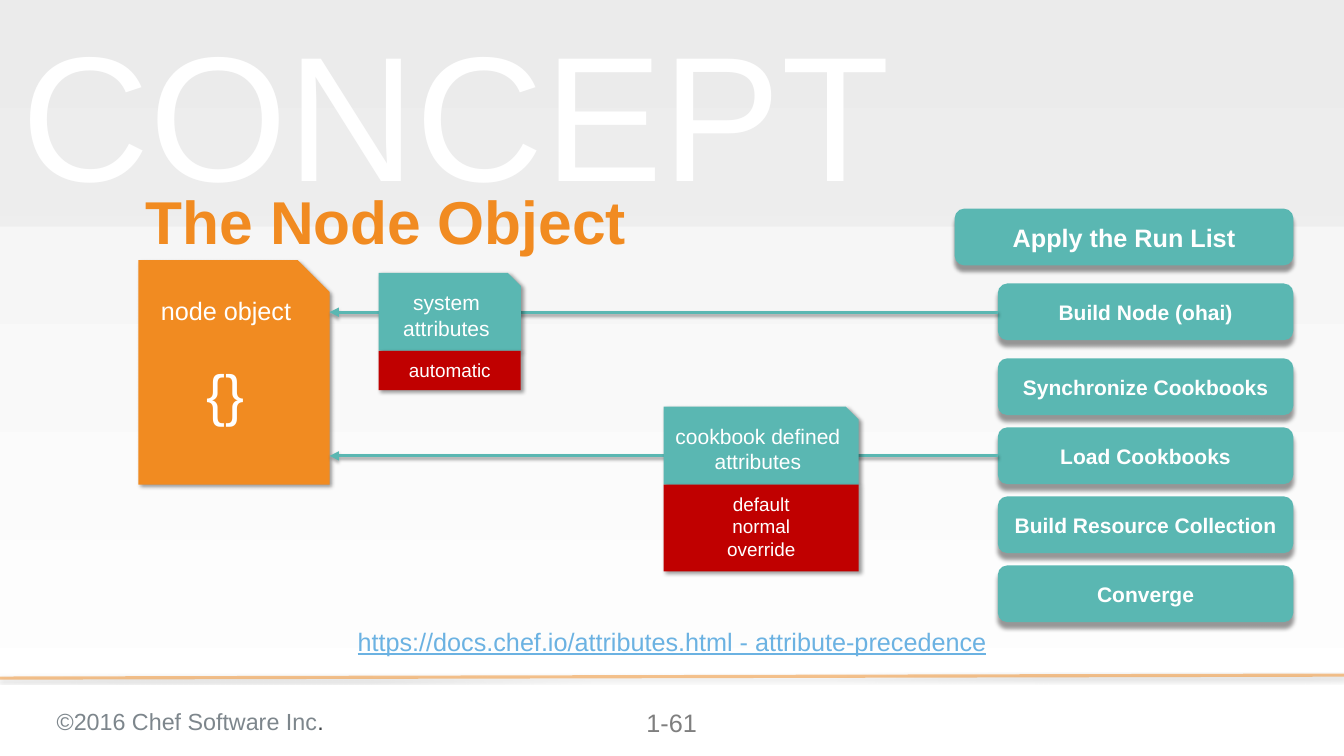
from dataclasses import dataclass

from lxml.etree import SubElement
from pptx import Presentation
from pptx.dml.color import RGBColor
from pptx.enum.shapes import MSO_CONNECTOR, MSO_SHAPE
from pptx.enum.text import MSO_ANCHOR, MSO_AUTO_SIZE, PP_ALIGN
from pptx.oxml.ns import qn
from pptx.util import Inches, Pt

WIDTH, HEIGHT = Inches(17.78), Inches(10)
COL, ROW = WIDTH / 100, HEIGHT / 100
FONT = "Arial"

WHITE = RGBColor(0xFF, 0xFF, 0xFF)
PALE = RGBColor(0xF2, 0xF2, 0xF2)
BAND = RGBColor(0xD9, 0xD9, 0xD9)
ORANGE = RGBColor(0xF1, 0x8B, 0x21)
TEAL = RGBColor(0x5A, 0xB7, 0xB2)
RED = RGBColor(0xC0, 0x00, 0x00)
SKY = RGBColor(0x6B, 0xB2, 0xE2)
STEEL = RGBColor(0x7D, 0x86, 0x8C)
SLATE = RGBColor(0x3E, 0x43, 0x46)
GREY = RGBColor(0x7F, 0x7F, 0x7F)


@dataclass(frozen=True)
class Box:
    col: float
    row: float
    cols: float
    rows: float

    def place(self) -> tuple[int, int, int, int]:
        return (round(self.col * COL), round(self.row * ROW),
                round(self.cols * COL), round(self.rows * ROW))


@dataclass(frozen=True)
class Shade:
    alpha: int
    blur: float
    dist: float
    angle: int


@dataclass(frozen=True)
class Step:
    text: str
    row: float
    col: float = 74.24
    size: int = 20


@dataclass(frozen=True)
class Card:
    box: Box
    text: str
    levels: str
    depth: float


SOFT = Shade(40, 4, 3, 45)
DEEP = Shade(40, 4, 6, 90)
LOW = Shade(35, 3.1, 1.8, 90)
RIGHT = 96.23
PITCH = 9.13

STEPS = [Step("Apply the Run List", 27.6, 71.03, 24),
         Step("Build Node (ohai)", 37.5)]
STEPS += [Step(text, 47.4 + i * PITCH) for i, text in enumerate(
    ["Synchronize Cookbooks", "Load Cookbooks",
     "Build Resource Collection", "Converge"])]

CARDS = [
    Card(Box(28.18, 36.1, 10.57, 10.3), "system attributes", "automatic", 5.2),
    Card(Box(49.38, 53.8, 14.51, 10.3), "cookbook defined attributes",
         "default\nnormal\noverride", 11.5),
]


def fade(fill, alpha: int) -> None:
    tint = fill._xPr.find(".//" + qn("a:srgbClr"))
    SubElement(tint, qn("a:alpha"), val=str(alpha * 1000))


def shadow(props, shade: Shade) -> None:
    effects = props.find(qn("a:effectLst"))
    if effects is None:
        effects = SubElement(props, qn("a:effectLst"))
    outer = SubElement(
        effects, qn("a:outerShdw"), blurRad=str(Pt(shade.blur)),
        dist=str(Pt(shade.dist)), dir=str(shade.angle * 60000),
        rotWithShape="0")
    tint = SubElement(outer, qn("a:srgbClr"), val="000000")
    SubElement(tint, qn("a:alpha"), val=str(shade.alpha * 1000))


def style(font, size: float, color: RGBColor, bold=False, line=False) -> None:
    font.name, font.size = FONT, Pt(size)
    font.bold, font.underline = bold, line
    font.color.rgb = color


def write(shape, text: str, *, sizes=(20,), color=WHITE, bold=False,
          line=False, align=PP_ALIGN.CENTER, anchor=MSO_ANCHOR.MIDDLE,
          inset=(0.1, 0.05), space=None, wrap=True):
    frame = shape.text_frame
    frame.word_wrap = wrap
    frame.auto_size = (MSO_AUTO_SIZE.NONE if wrap
                       else MSO_AUTO_SIZE.SHAPE_TO_FIT_TEXT)
    frame.vertical_anchor = anchor
    frame.margin_left = frame.margin_right = Inches(inset[0])
    frame.margin_top = frame.margin_bottom = Inches(inset[1])
    for i, words in enumerate(text.split("\n")):
        para = frame.paragraphs[0] if i == 0 else frame.add_paragraph()
        para.alignment = align
        if space:
            para.line_spacing = space
        run = para.add_run()
        run.text = words
        style(run.font, sizes[min(i, len(sizes) - 1)], color, bold, line)
    return para


def block(slide, kind, box: Box, color: RGBColor, shade: Shade | None = None):
    shape = slide.shapes.add_shape(kind, *box.place())
    shape.shadow.inherit = False
    shape.fill.solid()
    shape.fill.fore_color.rgb = color
    shape.line.fill.background()
    if shade:
        shadow(shape._element.spPr, shade)
    return shape


def label(slide, box: Box):
    return slide.shapes.add_textbox(*box.place())


def rule(slide, start: tuple[float, float], end: tuple[float, float],
         color: RGBColor, alpha: int = 100, arrow: bool = False) -> None:
    link = slide.shapes.add_connector(
        MSO_CONNECTOR.STRAIGHT, round(start[0] * COL), round(start[1] * ROW),
        round(end[0] * COL), round(end[1] * ROW))
    link.line.width = Pt(3)
    link.line.color.rgb = color
    if alpha < 100:
        fade(link.line.fill, alpha)
    if arrow:
        SubElement(link.line._get_or_add_ln(), qn("a:tailEnd"),
                   type="triangle")
    shadow(link._element.spPr, LOW)


def frame(slide) -> None:
    fill = slide.background.fill
    fill.gradient()
    fill.gradient_angle = 270
    for stop, color, spot in zip(fill.gradient_stops, (PALE, WHITE), (0, 1)):
        stop.color.rgb, stop.position = color, spot
    rule(slide, (100, 89.3), (0, 89.7), ORANGE, alpha=50)
    tight = dict(inset=(0.1, 0.1), anchor=MSO_ANCHOR.TOP)
    para = write(label(slide, Box(3.66, 92.5, 33.18, 5.2)),
                 "©2016 Chef Software Inc", sizes=(22.2,), color=STEEL,
                 align=PP_ALIGN.LEFT, **tight)
    dot = para.add_run()
    dot.text = "."
    style(dot.font, 22.2, SLATE)
    write(label(slide, Box(45.56, 92.5, 8.83, 5.7)), "1-61", sizes=(24,),
          color=GREY, **tight)
    band = block(slide, MSO_SHAPE.RECTANGLE, Box(0, 0, 100, 30), BAND)
    fade(band.fill, 25)
    para = write(label(slide, Box(0.84, 1.6, 71.09, 26)), "CONCEPT",
                 sizes=(169.3,), color=PALE, align=PP_ALIGN.LEFT,
                 inset=(0.13, 0.13))
    font = para.runs[0].font
    fade(font.fill, 50)
    edge = SubElement(font._element, qn("a:ln"), w=str(Pt(1.45)))
    SubElement(SubElement(edge, qn("a:solidFill")), qn("a:srgbClr"),
               val=str(WHITE))
    font._element.insert(0, edge)


def head(slide) -> None:
    title = slide.shapes.title
    title.left, title.top, title.width, title.height = Box(
        10.29, 25.1, 75.76, 9.3).place()
    write(title, "The Node Object", sizes=(57.6,), color=ORANGE, bold=True,
          align=PP_ALIGN.LEFT, inset=(0.1, 0.1), space=0.9)
    slide.shapes._spTree.append(title._element)


def main() -> None:
    deck = Presentation()
    deck.slide_width, deck.slide_height = WIDTH, HEIGHT
    slide = deck.slides.add_slide(deck.slide_layouts[5])
    frame(slide)
    head(slide)
    node = block(slide, MSO_SHAPE.SNIP_1_RECTANGLE,
                 Box(10.29, 34.4, 14.23, 29.7), ORANGE, SOFT)
    write(node, "node object\n{}", sizes=(24, 54), space=1.5,
          anchor=MSO_ANCHOR.TOP)
    for step in STEPS:
        box = Box(step.col, step.row, RIGHT - step.col, 7.5)
        shape = block(slide, MSO_SHAPE.ROUNDED_RECTANGLE, box, TEAL, DEEP)
        write(shape, step.text, sizes=(step.size,), bold=True)
    for row in (41.3, 60.3):
        rule(slide, (74.24, row), (24.52, row), TEAL, arrow=True)
    for card in CARDS:
        box = card.box
        top = block(slide, MSO_SHAPE.SNIP_1_RECTANGLE, box, TEAL, SOFT)
        write(top, card.text)
        base = Box(box.col, box.row + box.rows, box.cols, card.depth)
        foot = block(slide, MSO_SHAPE.RECTANGLE, base, RED, SOFT)
        write(foot, card.levels, sizes=(18,), inset=(0.1, 0.1),
              anchor=MSO_ANCHOR.TOP)
    write(label(slide, Box(25.82, 82.3, 48.37, 5)),
          "https://docs.chef.io/attributes.html - attribute-precedence",
          sizes=(24,), color=SKY, line=True, anchor=MSO_ANCHOR.TOP,
          wrap=False)
    deck.save("out.pptx")


if __name__ == "__main__":
    main()
